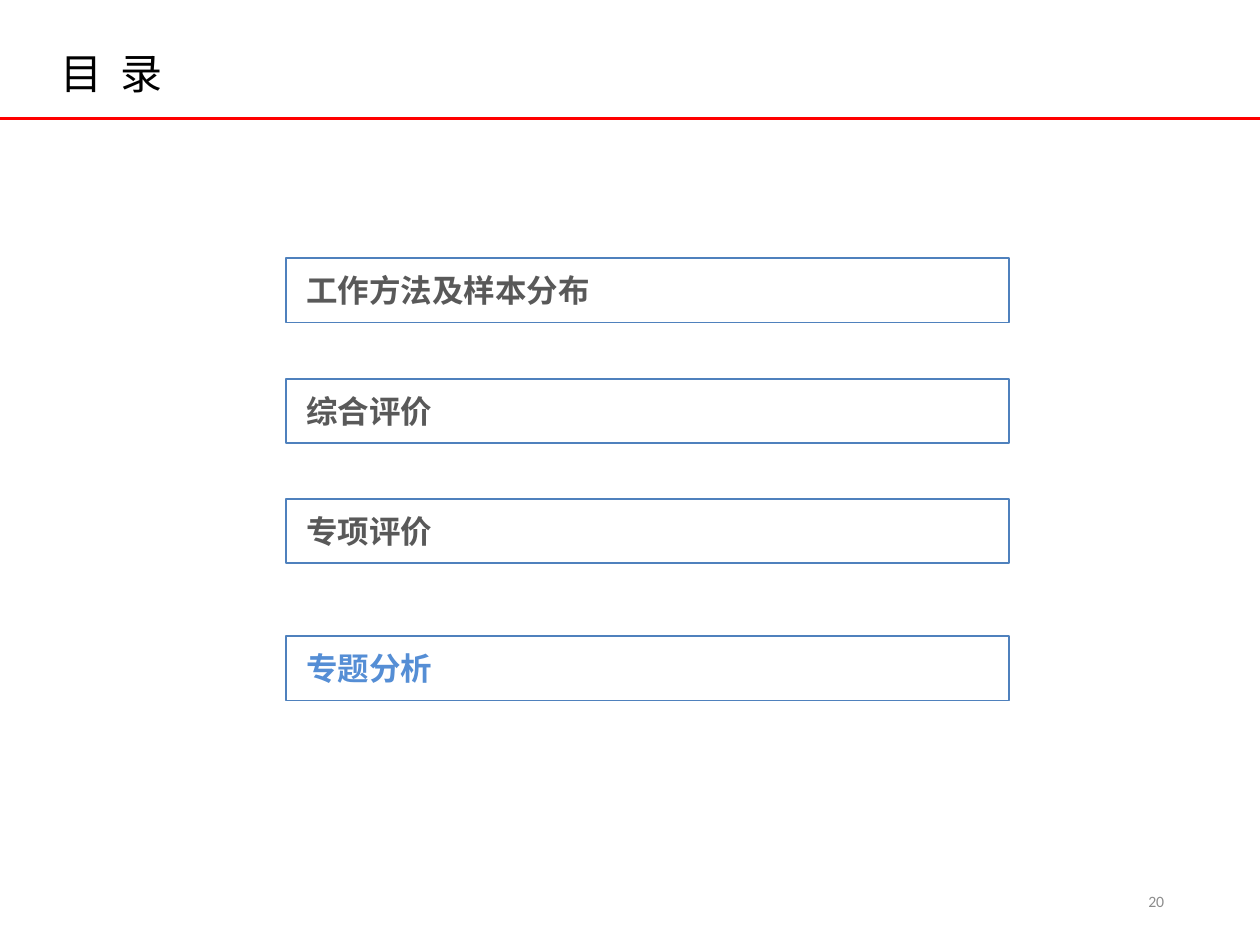
from dataclasses import dataclass

from lxml import etree
from pptx import Presentation
from pptx import util as u
from pptx.dml.color import RGBColor
from pptx.enum import shapes, text
from pptx.oxml import ns

COLUMNS, ROWS = 100, 75
CELL = u.Inches(0.1)
CJK, LATIN = "Noto Sans CJK SC", "Calibri"
WHITE = RGBColor(0xFF, 0xFF, 0xFF)
BLACK = RGBColor(0x00, 0x00, 0x00)
RED = RGBColor(0xFF, 0x00, 0x00)
BORDER_BLUE = RGBColor(0x4F, 0x81, 0xBD)
ACTIVE_BLUE = RGBColor(0x55, 0x8E, 0xD5)
DARK_GRAY = RGBColor(0x59, 0x59, 0x59)
PAGE_GRAY = RGBColor(0x8C, 0x8C, 0x8C)


@dataclass(frozen=True)
class Area:
    column: float
    row: float
    columns: float
    rows: float

    def emu(self) -> list[int]:
        return [cells(n) for n in (self.column, self.row, self.columns, self.rows)]


@dataclass(frozen=True)
class Style:
    size: float
    color: RGBColor
    font: str = CJK
    bold: bool = False
    spacing: int = 0
    align: text.PP_ALIGN = text.PP_ALIGN.LEFT
    inset_x: float = 0.1
    inset_y: float = 0.05


@dataclass(frozen=True)
class Chapter:
    heading: str
    row: float
    color: RGBColor = DARK_GRAY


def cells(count: float) -> int:
    return round(count * CELL)


def add_words(slide, words: str, area: Area, style: Style) -> None:
    frame = slide.shapes.add_textbox(*area.emu()).text_frame
    frame.word_wrap = True
    frame.vertical_anchor = text.MSO_ANCHOR.MIDDLE
    frame.margin_left = frame.margin_right = u.Inches(style.inset_x)
    frame.margin_top = frame.margin_bottom = u.Inches(style.inset_y)
    frame.text = words
    paragraph = frame.paragraphs[0]
    paragraph.alignment = style.align
    run = paragraph.runs[0]
    run.font.size = u.Pt(style.size)
    run.font.bold = style.bold
    run.font.color.rgb = style.color
    run.font.name = style.font
    properties = run._r.get_or_add_rPr()
    etree.SubElement(properties, ns.qn("a:ea"), typeface=style.font)
    if style.spacing:
        properties.set("spc", str(style.spacing))


def add_rule(slide, row: float) -> None:
    rule = slide.shapes.add_connector(
        shapes.MSO_CONNECTOR.STRAIGHT, 0, cells(row), cells(COLUMNS), cells(row)
    )
    rule.line.color.rgb = RED
    rule.line.width = u.Pt(1.75)
    etree.SubElement(rule._element.spPr, ns.qn("a:effectLst"))


def add_chapter(slide, chapter: Chapter) -> None:
    panel = slide.shapes.add_shape(
        shapes.MSO_SHAPE.RECTANGLE, *Area(22.7, chapter.row, 57.4, 5.1).emu()
    )
    panel.shadow.inherit = False
    panel.fill.solid()
    panel.fill.fore_color.rgb = WHITE
    panel.line.color.rgb = BORDER_BLUE
    panel.line.width = u.Pt(1)
    add_words(
        slide,
        chapter.heading,
        Area(23.1, chapter.row + 0.2, 45, 4.7),
        Style(18, chapter.color, bold=True, inset_x=0.12, inset_y=0.12),
    )


def main() -> None:
    deck = Presentation()
    deck.slide_width, deck.slide_height = cells(COLUMNS), cells(ROWS)
    slide = deck.slides.add_slide(deck.slide_layouts[6])

    page_style = Style(
        9, PAGE_GRAY, LATIN, align=text.PP_ALIGN.RIGHT, inset_x=0.07, inset_y=0.04
    )
    add_words(slide, "20", Area(70.6, 69.5, 22.5, 4), page_style)
    add_rule(slide, 9.4)
    add_words(slide, "目 录", Area(3.8, 3, 65.6, 5.6), Style(24, BLACK, spacing=270))

    first_row, pitch = 20.5, 9.55
    past = ("工作方法及样本分布", "综合评价", "专项评价")
    chapters = [Chapter(name, first_row + i * pitch) for i, name in enumerate(past)]
    chapters.append(Chapter("专题分析", 50.5, ACTIVE_BLUE))
    for chapter in chapters:
        add_chapter(slide, chapter)

    deck.save("out.pptx")


if __name__ == "__main__":
    main()
